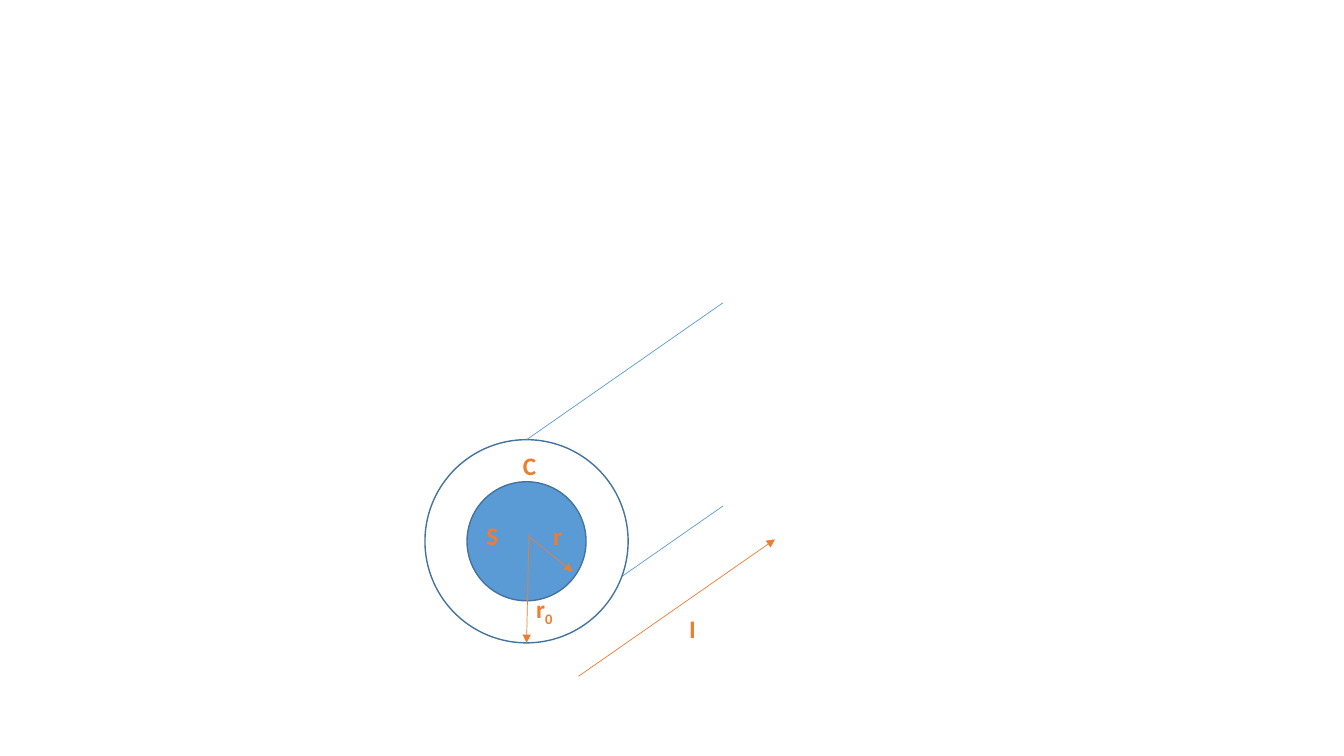
from dataclasses import dataclass

from lxml import etree
from pptx import Presentation
from pptx.dml.color import RGBColor
from pptx.enum import shapes, text
from pptx.oxml import ns
from pptx.util import Cm, Pt

BLUE, DARK_BLUE, ORANGE, WHITE = "5B9BD5", "43739E", "ED7D31", "FFFFFF"
CENTER_X, CENTER_Y = 13.27, 13.64
OUTER_RADIUS, INNER_RADIUS = 2.56, 1.5
DEPTH_X, DEPTH_Y = 4.95, -3.45


@dataclass
class Circle:
    radius: float
    fill: str


@dataclass
class Segment:
    x: float
    y: float
    dx: float
    dy: float
    color: str = BLUE
    arrow: bool = False


@dataclass
class Label:
    x: float
    y: float
    symbol: str
    subscript: str = ""


def paint(color_format, color: str) -> None:
    color_format.rgb = RGBColor.from_string(color)


def draw_circle(slide, circle: Circle) -> None:
    disc = slide.shapes.add_shape(
        shapes.MSO_SHAPE.OVAL,
        Cm(CENTER_X - circle.radius), Cm(CENTER_Y - circle.radius),
        Cm(2 * circle.radius), Cm(2 * circle.radius))
    disc.shadow.inherit = False
    disc.fill.solid()
    paint(disc.fill.fore_color, circle.fill)
    paint(disc.line.color, DARK_BLUE)
    disc.line.width = Pt(1)


def draw_segment(slide, segment: Segment) -> None:
    stroke = slide.shapes.add_connector(
        shapes.MSO_CONNECTOR.STRAIGHT, Cm(segment.x), Cm(segment.y),
        Cm(segment.x + segment.dx), Cm(segment.y + segment.dy))
    paint(stroke.line.color, segment.color)
    stroke.line.width = Pt(0.5)
    if segment.arrow:
        outline = stroke.line._get_or_add_ln()
        etree.SubElement(outline, ns.qn("a:tailEnd"), type="triangle")
    etree.SubElement(stroke._element.spPr, ns.qn("a:effectLst"))


def draw_label(slide, label: Label) -> None:
    box = slide.shapes.add_textbox(
        Cm(label.x), Cm(label.y), Cm(1.32), Cm(1.02))
    frame = box.text_frame
    frame.word_wrap = True
    frame.auto_size = text.MSO_AUTO_SIZE.SHAPE_TO_FIT_TEXT
    for content, baseline in ((label.symbol, 0), (label.subscript, -25000)):
        if not content:
            continue
        run = frame.paragraphs[0].add_run()
        run.text = content
        run.font.name = "Calibri"
        run.font.size = Pt(18)
        run.font.bold = True
        paint(run.font.color, ORANGE)
        if baseline:
            run.font._element.set("baseline", str(baseline))


def main() -> None:
    deck = Presentation()
    deck.slide_width, deck.slide_height = Cm(33.87), Cm(19.05)
    slide = deck.slides.add_slide(deck.slide_layouts[6])

    lower_edge, upper_edge = (
        Segment(CENTER_X, CENTER_Y + offset, DEPTH_X, DEPTH_Y)
        for offset in (OUTER_RADIUS, -OUTER_RADIUS))
    # The outer disc hides the start of the lower edge.
    draw_segment(slide, lower_edge)
    draw_circle(slide, Circle(OUTER_RADIUS, WHITE))
    draw_segment(slide, upper_edge)
    draw_circle(slide, Circle(INNER_RADIUS, BLUE))

    inner_radius = Segment(13.31, 13.51, 1.12, 0.89, ORANGE, True)
    outer_radius = Segment(13.33, 13.46, -0.06, 2.74, ORANGE, True)
    length = Segment(14.58, 17.04, DEPTH_X, DEPTH_Y, ORANGE, True)
    for dimension in (inner_radius, outer_radius, length):
        draw_segment(slide, dimension)

    for label in (
        Label(13.69, 12.98, "r"),
        Label(12.01, 12.98, "S"),
        Label(13.26, 14.83, "r", "0"),
        Label(12.93, 11.23, "C"),
        Label(17.12, 15.34, "I"),
    ):
        draw_label(slide, label)

    deck.save("out.pptx")


if __name__ == "__main__":
    main()
